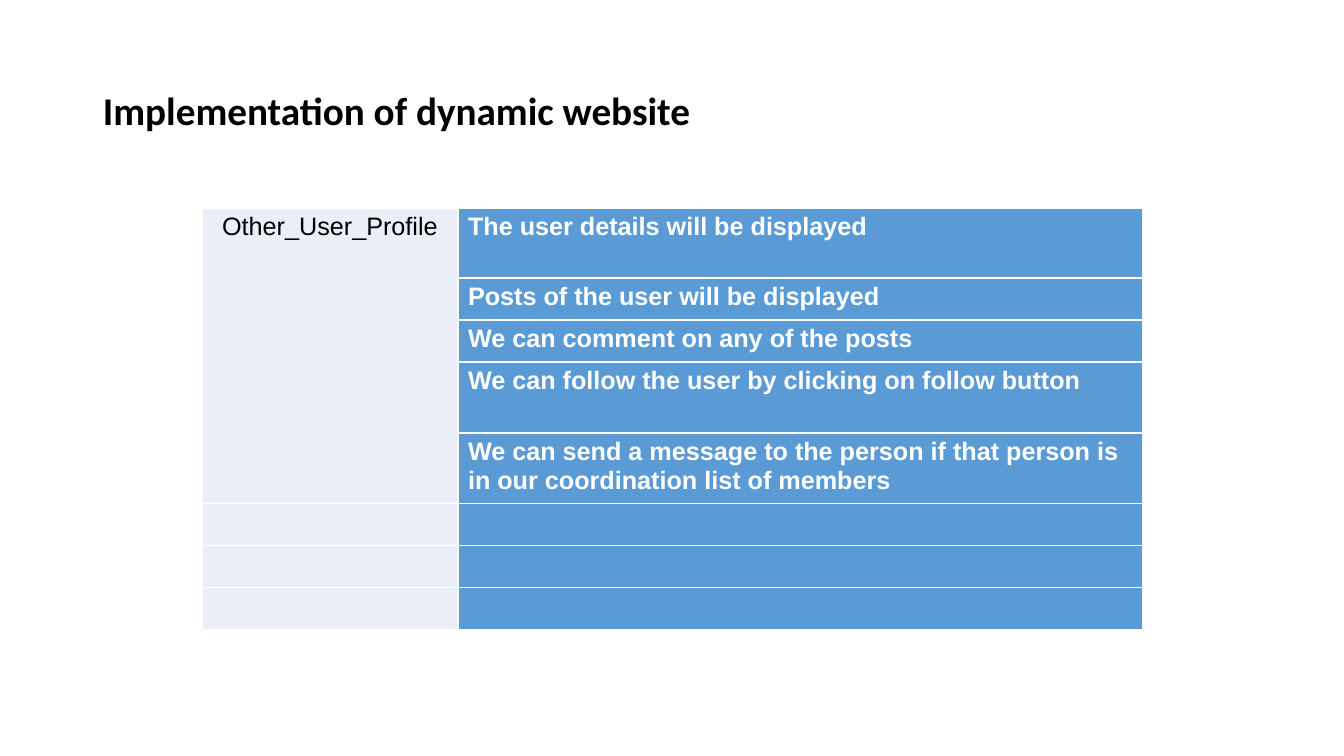
from lxml.etree import SubElement as Sub
from pptx import Presentation
from pptx.dml.color import RGBColor
from pptx.enum.text import MSO_ANCHOR, PP_ALIGN
from pptx.oxml.ns import qn
from pptx.util import Pt

SCALE = 914400 / 100.8
PALE, BLUE, WHITE, BLACK = "EAEFF7", "5B9BD5", "FFFFFF", "000000"
NOTES = [
    "The user details will be displayed",
    "Posts of the user will be displayed",
    "We can comment on any of the posts",
    "We can follow the user by clicking on follow button",
    "We can send a message to the person if that person is "
    "in our coordination list of members",
]
WIDTHS = [256, 685]
HEIGHTS = [70, 42, 42, 71, 66, 42, 42, 42]


def px(n):
    return round(n * SCALE)


def color(code):
    return RGBColor.from_string(code)


def style(par, face, size, code, bold=False):
    for run in par.runs:
        font = run.font
        font.name, font.size, font.bold = face, Pt(size), bold
        font.color.rgb = color(code)


def edge(cell, code, width):
    props = cell._tc.get_or_add_tcPr()
    for side in ("lnL", "lnR", "lnT", "lnB"):
        line = Sub(props, qn("a:" + side), w=str(Pt(width)))
        fill = Sub(line, qn("a:solidFill"))
        Sub(fill, qn("a:srgbClr"), val=code)


def title(slide, box, text):
    frame = slide.shapes.add_textbox(*map(px, box)).text_frame
    frame.word_wrap = True
    frame.vertical_anchor = MSO_ANCHOR.MIDDLE
    par = frame.paragraphs[0]
    par.text = text
    par.line_spacing = 0.9
    style(par, "Calibri", 28, BLACK, True)


def profile(slide, left, top):
    box = (left, top, sum(WIDTHS), sum(HEIGHTS))
    table = slide.shapes.add_table(
        len(HEIGHTS), len(WIDTHS), *map(px, box)).table
    for col, width in zip(table.columns, WIDTHS):
        col.width = px(width)
    for row, height in zip(table.rows, HEIGHTS):
        row.height = px(height)
        # Pale label column beside the blue detail column
        for cell, code in zip(row.cells, (PALE, BLUE)):
            edge(cell, WHITE, 1)
            cell.fill.solid()
            cell.fill.fore_color.rgb = color(code)

    # Label spans every row that holds a note
    label = table.cell(0, 0)
    label.merge(table.cell(len(NOTES) - 1, 0))
    label.text = "Other_User_Profile"
    par = label.text_frame.paragraphs[0]
    par.alignment = PP_ALIGN.CENTER
    style(par, "Arial", 18, BLACK)

    for i, note in enumerate(NOTES):
        cell = table.cell(i, 1)
        cell.text = note
        style(cell.text_frame.paragraphs[0], "Arial", 18, WHITE, True)


deck = Presentation()
deck.slide_width, deck.slide_height = px(1344), px(756)
page = deck.slides.add_slide(deck.slide_layouts[6])
title(page, (93, 40, 1159, 146), "Implementation of dynamic website")
profile(page, 202, 208)
deck.save("out.pptx")
